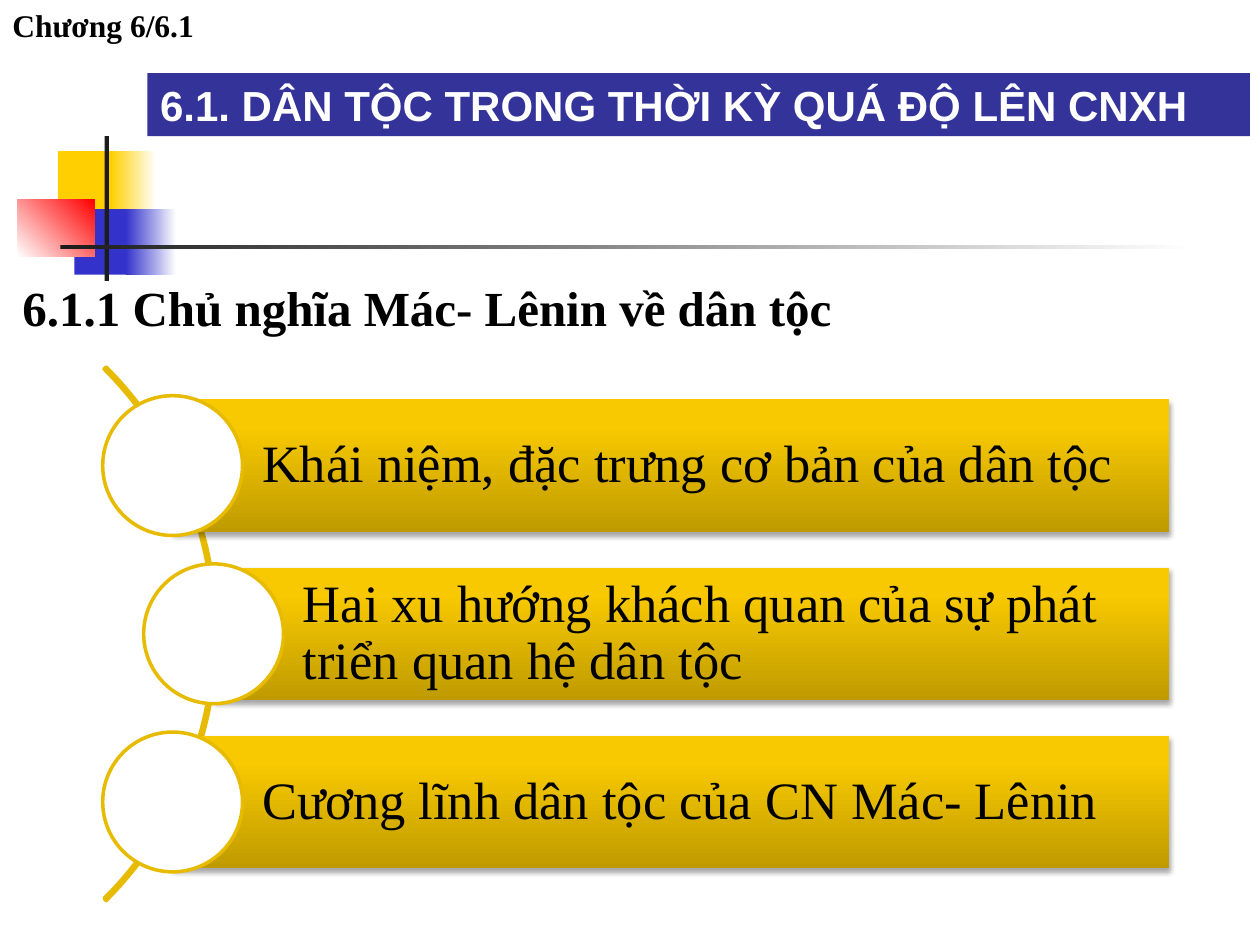
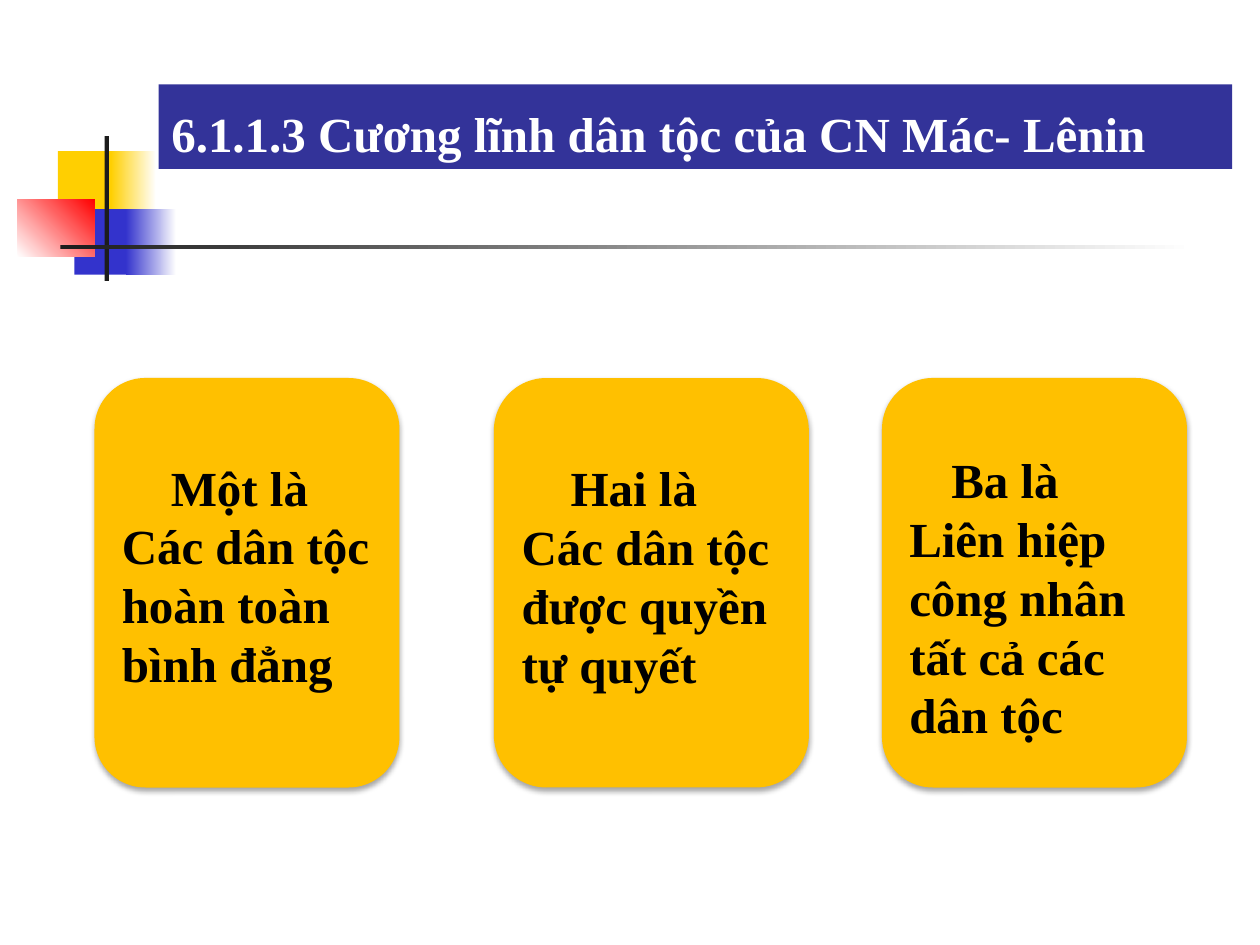
from collections import namedtuple

from lxml.etree import SubElement
from pptx import Presentation
from pptx.dml.color import RGBColor
from pptx.enum.shapes import MSO_SHAPE
from pptx.enum.text import MSO_ANCHOR, MSO_AUTO_SIZE, PP_ALIGN
from pptx.oxml.ns import qn
from pptx.util import Inches, Pt

# Grid: 100 columns by 75 rows over the slide
WIDTH, HEIGHT = Inches(10), Inches(7.5)
COL, ROW = WIDTH / 100, HEIGHT / 75

YELLOW, BLUE, RED = "FFCF01", "3333CC", "FF0000"
BAND, INK, BLACK, WHITE = "333399", "1C1C1C", "000000", "FFFFFF"
GOLD_LINE, CARD = "E7BB01", "FFC000"
GOLD_BAR = [(0, "BF9B00"), (80, "F8C900"), (100, "F9CA00")]
SERIF, SANS = "Times New Roman", "Arial"

Box = namedtuple("Box", "x y w h")


def inside(box, x, y, w, h):
    """Box given relative to the corner of another box."""
    return Box(box.x + x, box.y + y, w, h)


def emu(box):
    return [round(v * unit) for v, unit in zip(box, (COL, ROW, COL, ROW))]


def color(value):
    return RGBColor.from_string(value)


def set_gradient(sp, stops, angle):
    sp.fill.gradient()
    grad = sp._element.spPr.find(qn("a:gradFill"))
    gs_list = grad.find(qn("a:gsLst"))
    for gs in list(gs_list):
        gs_list.remove(gs)
    for pos, value in stops:
        gs = SubElement(gs_list, qn("a:gs"), pos=str(pos * 1000))
        SubElement(gs, qn("a:srgbClr"), val=value)
    grad.find(qn("a:lin")).set("ang", str(angle * 60000))


def add_shadow(sp):
    effects = sp._element.spPr.find(qn("a:effectLst"))
    shadow = SubElement(effects, qn("a:outerShdw"), blurRad=str(Pt(3.1)),
                        dist=str(Pt(1.8)), dir="5400000", rotWithShape="0")
    black = SubElement(shadow, qn("a:srgbClr"), val=BLACK)
    SubElement(black, qn("a:alpha"), val="35000")


def add_box(s, kind, box, fill, angle=0, line=None, shadow=False):
    """Preset shape; fill is a colour or a list of gradient stops."""
    sp = s.shapes.add_shape(kind, *emu(box))
    sp.shadow.inherit = False
    if isinstance(fill, str):
        sp.fill.solid()
        sp.fill.fore_color.rgb = color(fill)
    else:
        set_gradient(sp, fill, angle)
    if line:
        sp.line.color.rgb = color(line)
        sp.line.width = Pt(2)
    else:
        sp.line.fill.background()
    if shadow:
        add_shadow(sp)
    return sp


def write(sp, *texts, size=28, font=SERIF, ink=BLACK, bold=True, wrap=True,
          anchor=MSO_ANCHOR.TOP, align=PP_ALIGN.LEFT, spacing=None,
          left=0.1, top=0.05, indent=0):
    """One paragraph per text; indent (points) applies to the first one."""
    tf = sp.text_frame
    tf.auto_size = MSO_AUTO_SIZE.NONE
    tf.word_wrap = wrap
    tf.vertical_anchor = anchor
    tf.margin_left, tf.margin_top = Inches(left), Inches(top)
    for i, text in enumerate(texts):
        p = tf.add_paragraph() if i else tf.paragraphs[0]
        p.alignment = align
        if spacing:
            p.line_spacing = spacing
        if indent and i == 0:
            p._p.get_or_add_pPr().set("indent", str(Pt(indent)))
        r = p.add_run()
        r.text = text
        r.font.size, r.font.name, r.font.bold = Pt(size), font, bold
        r.font.color.rgb = color(ink)


def add_text(s, box, text, **fmt):
    write(s.shapes.add_textbox(*emu(box)), text, **fmt)


def add_motif(s, box):
    """Coloured squares with the crossing rules, shared by all slides."""
    def fade(value):
        return [(0, value), (100, WHITE)]

    parts = [
        (3.2, 1.2, 4.8, 5.2, YELLOW, 0),
        (7.4, 1.2, 3.6, 5.2, fade(YELLOW), 0),
        (4.5, 5.8, 4.6, 5.2, BLUE, 0),
        (8.6, 5.8, 4, 5.2, fade(BLUE), 0),
        (0, 5, 6.1, 4.6, [(0, WHITE), (100, RED)], 315),
        (6.9, 0, 0.35, 11.5, INK, 0),
        (3.4, 8.65, 90, 0.35, fade(INK), 0),
    ]
    for *place, fill, angle in parts:
        add_box(s, MSO_SHAPE.RECTANGLE, inside(box, *place), fill, angle)


def add_slide(prs, title, box, **fmt):
    """Slide with the title band and the motif."""
    s = prs.slides.add_slide(prs.slide_layouts[5])
    sp = s.shapes.title
    sp.left, sp.top, sp.width, sp.height = emu(box)
    sp.fill.solid()
    sp.fill.fore_color.rgb = color(BAND)
    write(sp, title, ink=WHITE, **fmt)
    add_motif(s, Box(1.4, 10.8, 93.4, 11.5))
    return s


def add_curved_list(s, box, items):
    """Bars with round markers that follow an arc on the left."""
    pitch, bar_h, dot, arc = 13.35, 10.5, 11.1, 59.9
    curve = add_box(s, MSO_SHAPE.BLOCK_ARC,
                    inside(box, 9.1 - arc, (box.h - arc) / 2, arc, arc),
                    WHITE, line=GOLD_LINE)
    for i, value in enumerate((189, 27, 0.004)):
        curve.adjustments[i] = value
    for i, text in enumerate(items):
        x = 5.6 + (3.25 if i == 1 else 0)
        y = i * pitch
        bar = add_box(s, MSO_SHAPE.RECTANGLE,
                      inside(box, x, y, box.w - x, bar_h),
                      GOLD_BAR, 270, shadow=True)
        write(bar, text, size=30, bold=False, anchor=MSO_ANCHOR.MIDDLE,
              spacing=0.9, left=0.71)
        add_box(s, MSO_SHAPE.OVAL,
                inside(box, x - dot / 2, y + (bar_h - dot) / 2, dot, dot),
                WHITE, line=GOLD_LINE)


def add_cards(s, box, cards):
    """Row of rounded cards: heading, text, left edge, width, top inset, indent."""
    for heading, text, x, w, top, indent in cards:
        card = add_box(s, MSO_SHAPE.ROUNDED_RECTANGLE,
                       inside(box, x, 0, w, box.h), CARD, shadow=True)
        write(card, heading, text, top=top, indent=indent)


def build_overview(prs):
    s = add_slide(prs, "6.1. DÂN TỘC TRONG THỜI KỲ QUÁ ĐỘ LÊN CNXH",
                  Box(11.7, 5.8, 87.5, 5), size=24, font=SANS,
                  anchor=MSO_ANCHOR.MIDDLE)
    add_text(s, Box(0.8, 19.2, 99.2, 8.5),
             "6.1.1 Chủ nghĩa Mác- Lênin về dân tộc",
             align=PP_ALIGN.JUSTIFY, spacing=1.5)
    add_text(s, Box(0, 0, 16.6, 4), "Chương 6/6.1", size=18, wrap=False)
    add_curved_list(s, Box(8.1, 31.7, 84.7, 37.2), [
        "Khái niệm, đặc trưng cơ bản của dân tộc",
        "Hai xu hướng khách quan của sự phát triển quan hệ dân tộc",
        "Cương lĩnh dân tộc của CN Mác- Lênin",
    ])


def build_platform(prs):
    s = add_slide(prs, "6.1.1.3 Cương lĩnh dân tộc của CN Mác- Lênin",
                  Box(12.6, 6.7, 85.2, 6.7), anchor=MSO_ANCHOR.BOTTOM)
    add_cards(s, Box(7.5, 30, 86.7, 32.5), [
        ("Một là", "Các dân tộc hoàn toàn bình đẳng", 0, 24.2, 0.51, 28),
        ("Hai là", "Các dân tộc được quyền tự quyết", 31.7, 25, 0.51, 28),
        ("Ba là", "Liên hiệp công nhân tất cả các dân tộc",
         62.5, 24.2, 0.45, 24),
    ])


def main():
    prs = Presentation()
    prs.slide_width, prs.slide_height = WIDTH, HEIGHT
    build_overview(prs)
    build_platform(prs)
    prs.save("out.pptx")


if __name__ == "__main__":
    main()
